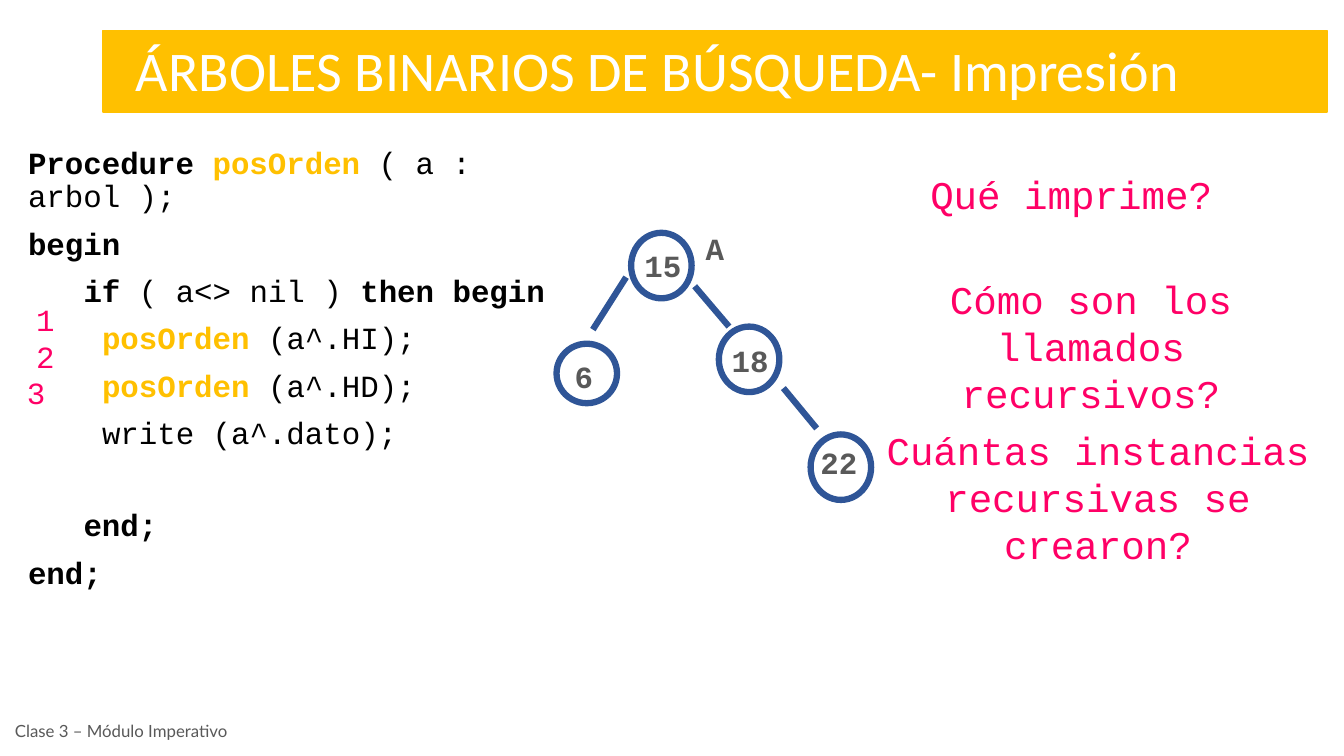
from pptx import Presentation
from pptx.dml.color import RGBColor
from pptx.enum import shapes, text
from pptx.oxml.ns import qn
from pptx.util import Inches, Pt
from lxml import etree

GOLD, PINK, BLUE, GREY = "FFC000", "FF0066", "2F5597", "595959"
BLACK, WHITE = "000000", "FFFFFF"
MONO = "Courier New"
CENTER = text.PP_ALIGN.CENTER


def color(value):
    return RGBColor.from_string(value)


def add_text(place, paragraphs, size, font=MONO, align=None, spacing=None):
    """Each paragraph is a list of (text, color, bold) runs."""
    box = page.shapes.add_textbox(*map(Inches, place))
    frame = box.text_frame
    frame.word_wrap = True
    for number, spans in enumerate(paragraphs):
        para = frame.paragraphs[0] if number == 0 else frame.add_paragraph()
        para.alignment = align
        para.line_spacing = spacing
        for content, tint, bold in spans:
            span = para.add_run()
            span.text = content
            span.font.name = font
            span.font.size = Pt(size)
            span.font.bold = bold
            span.font.color.rgb = color(tint)
    return frame


deck = Presentation()
deck.slide_width, deck.slide_height = Inches(13.33), Inches(7.5)
page = deck.slides.add_slide(deck.slide_layouts[6])

# Footer
footer = add_text((0.05, 7.05, 2.33, 0.4),
                  [[("Clase 3 – Módulo Imperativo", GREY, False)]], 12, "Lato")
footer.vertical_anchor = text.MSO_ANCHOR.MIDDLE

# Title band
band = page.shapes.add_shape(shapes.MSO_SHAPE.RECTANGLE, Inches(1.02), Inches(0.3),
                             Inches(12.14), Inches(0.81))
band.shadow.inherit = False
band.fill.solid()
band.fill.fore_color.rgb = color(GOLD)
band.line.color.rgb = color(GOLD)
band.line.width = Pt(1)
add_text((1.25, 0.3, 10.79, 0.77),
         [[("ÁRBOLES BINARIOS DE BÚSQUEDA- Impresión", WHITE, False)]], 40, "Calibri")

# Code listing: indent in characters, space before in points, runs
call = ("posOrden", GOLD, True)
code = [
    (0, 0, [("Procedure ", BLACK, True), call, (" ( a : arbol );", BLACK, False)]),
    (0, 10, [("begin", BLACK, True)]),
    (3, 10, [("if", BLACK, True), (" ( a<> nil ) ", BLACK, False),
             ("then begin", BLACK, True)]),
    (4, 10, [call, (" (a^.HI);", BLACK, False)]),
    (4, 10, [call, (" (a^.HD);", BLACK, False)]),
    (4, 10, [("write (a^.dato);", BLACK, False)]),
    (3, 42.4, [("end;", BLACK, True)]),
    (0, 10, [("end;", BLACK, True)]),
]
listing = add_text((0.18, 1.42, 5.98, 3.78), [line[2] for line in code], 22, spacing=0.9)
character_width = Pt(13.2)
for para, (indent, before, spans) in zip(listing.paragraphs, code):
    para.space_before = Pt(before)
    properties = para._p.get_or_add_pPr()
    properties.set("marL", str(indent * character_width))
    properties.set("indent", "0")

# Tree branches
for x1, y1, x2, y2 in [(6.89, 2.84, 7.23, 3.24), (7.77, 3.85, 8.1, 4.25),
                       (6.21, 2.75, 5.88, 3.27)]:
    branch = page.shapes.add_connector(shapes.MSO_CONNECTOR.STRAIGHT, Inches(x1),
                                       Inches(y1), Inches(x2), Inches(y2))
    branch.line.color.rgb = color(BLUE)
    branch.line.width = Pt(4.5)
    etree.SubElement(branch._element.spPr, qn("a:effectLst"))

# Tree nodes
for x, y, height in [(7.13, 3.24, 0.65), (6.26, 2.31, 0.65),
                     (8.04, 4.31, 0.65), (5.52, 3.41, 0.59)]:
    node = page.shapes.add_shape(shapes.MSO_SHAPE.OVAL, Inches(x), Inches(y),
                                 Inches(0.6), Inches(height))
    node.shadow.inherit = False
    node.fill.background()
    node.line.color.rgb = color(BLUE)
    node.line.width = Pt(4.5)

# Tree labels
for label, x, y, width in [("18", 7.14, 3.38, 0.6), ("15", 6.23, 2.44, 0.69),
                           ("A", 6.8, 2.27, 0.58), ("22", 8.02, 4.39, 0.6),
                           ("6", 5.49, 3.54, 0.6)]:
    add_text((x, y, width, 0.5), [[(label, GREY, True)]], 22, align=CENTER, spacing=0.9)

# Order numbers beside the code
add_text((0.12, 2.93, 0.66, 1.21),
         [[(number, PINK, False)] for number in ("1", "2", "3 ")], 22, align=CENTER)

# Questions
for question, place in [
    ("Qué imprime?", (8.64, 1.64, 3.97, 0.57)),
    ("Cómo son los llamados recursivos?", (8.51, 2.68, 4.62, 1.04)),
    ("Cuántas instancias recursivas se crearon?", (8.58, 4.18, 4.62, 1.51)),
]:
    add_text(place, [[(question, PINK, False)]], 28, align=CENTER)

deck.save("out.pptx")
